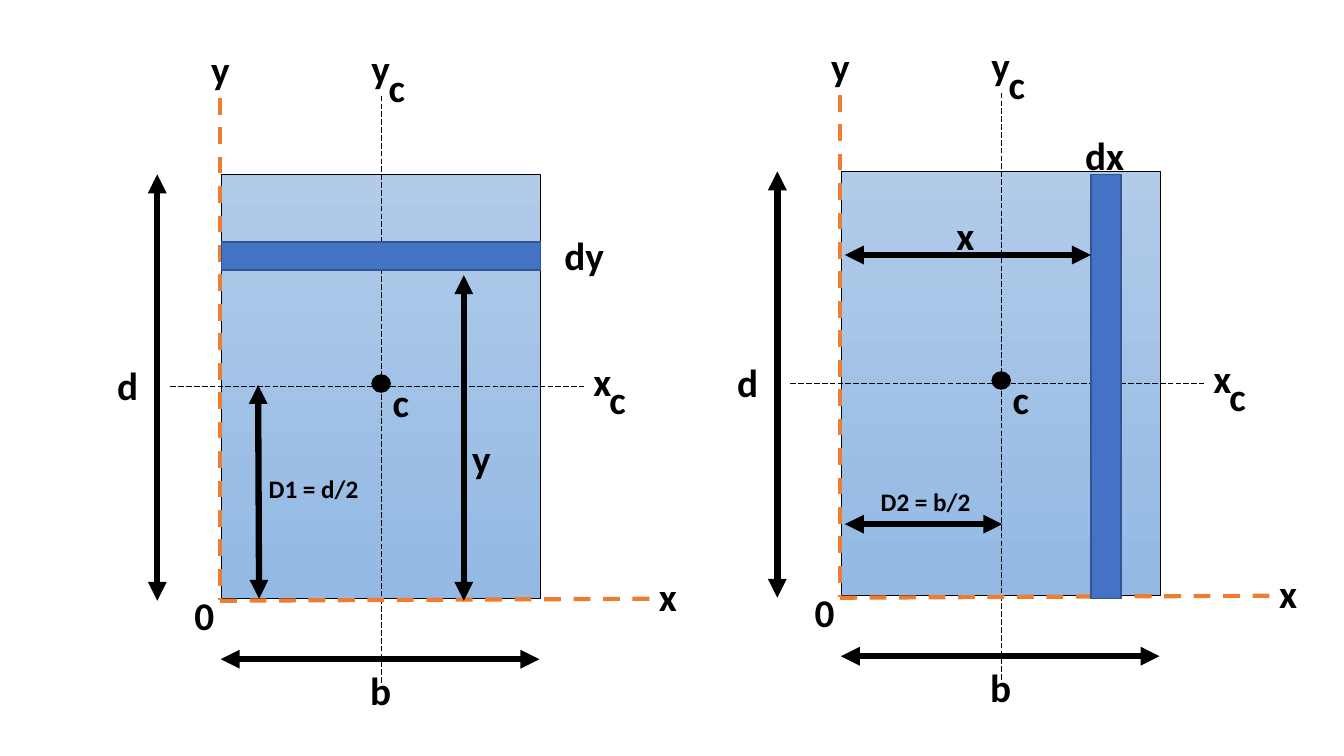
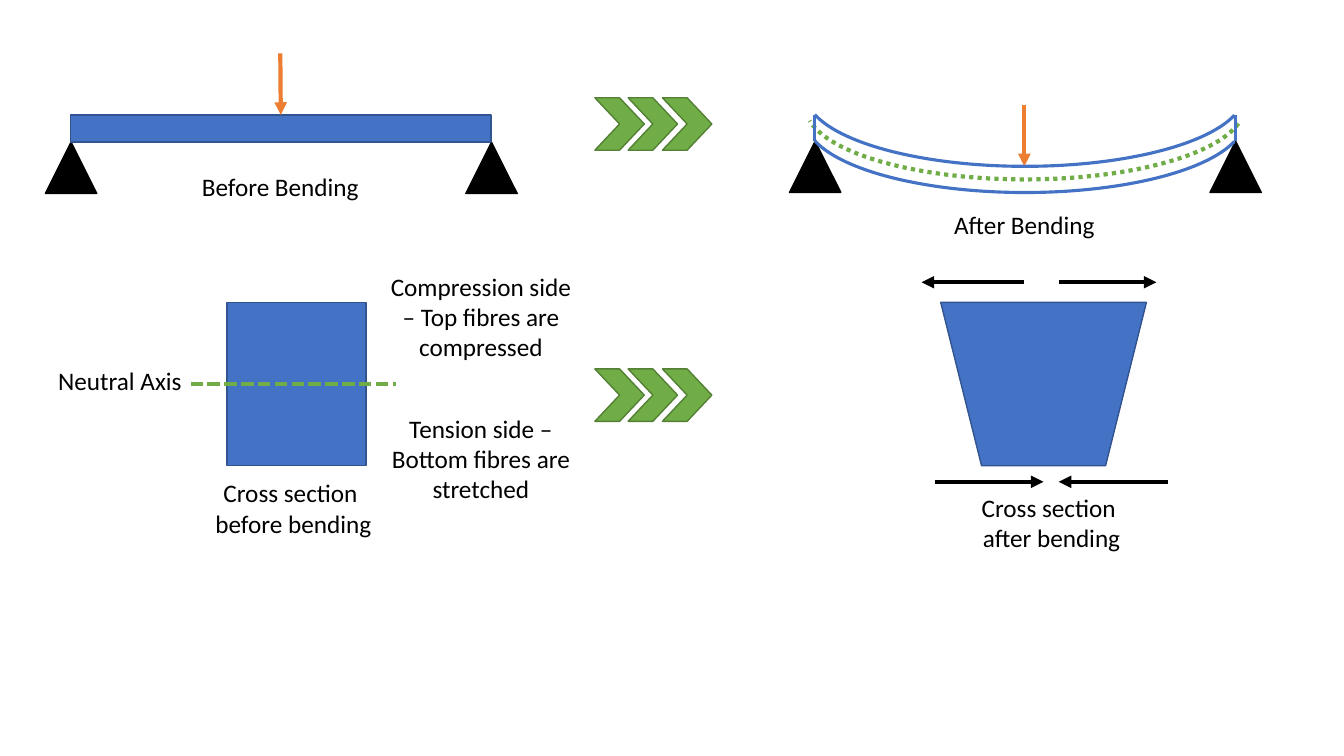
from pptx import Presentation
from pptx.dml.color import RGBColor
from pptx.enum.dml import MSO_LINE
from pptx.enum.shapes import MSO_CONNECTOR, MSO_SHAPE
from pptx.enum.text import MSO_AUTO_SIZE, PP_ALIGN
from pptx.oxml.ns import qn
from pptx.util import Pt
from lxml.etree import SubElement

PX = 9144  # 100 px to the inch
FONT = "Calibri"
COLORS = {
    "black": "000000",
    "blue": "4472C4",
    "blue_edge": "325491",
    "orange": "ED7D31",
    "green": "70AD47",
    "green_edge": "538035",
    "area_top": "B1CBE9",
    "area_bottom": "93B9E4",
}


def rgb(name):
    return RGBColor.from_string(COLORS[name])


def add_figure(slide, kind, box, fill, edge, weight=1):
    figure = slide.shapes.add_shape(kind, *(v * PX for v in box))
    figure.shadow.inherit = False
    if fill:
        figure.fill.solid()
        figure.fill.fore_color.rgb = rgb(fill)
    else:
        figure.fill.background()
    figure.line.color.rgb = rgb(edge)
    figure.line.width = Pt(weight)
    return figure


def add_line(slide, start, end, color="black", weight=4.5, dash=None, arrows=()):
    """arrows holds "headEnd" and/or "tailEnd"."""
    line = slide.shapes.add_connector(
        MSO_CONNECTOR.STRAIGHT, *(v * PX for v in (*start, *end)))
    line.line.color.rgb = rgb(color)
    line.line.width = Pt(weight)
    if dash:
        line.line.dash_style = dash
    properties = line._element.spPr
    for arrow in arrows:
        SubElement(properties.find(qn("a:ln")), qn("a:" + arrow), type="triangle")
    SubElement(properties, qn("a:effectLst"))
    return line


def add_dimension(slide, start, end):
    add_line(slide, start, end, arrows=("headEnd", "tailEnd"))


def add_label(slide, text, left, top, width, height=40, size=18, bold=False):
    label = slide.shapes.add_textbox(*(v * PX for v in (left, top, width, height)))
    frame = label.text_frame
    frame.word_wrap = True
    frame.auto_size = MSO_AUTO_SIZE.SHAPE_TO_FIT_TEXT
    paragraph = frame.paragraphs[0]
    paragraph.text = text
    paragraph.alignment = PP_ALIGN.CENTER
    paragraph.font.name = FONT
    paragraph.font.size = Pt(size)
    paragraph.font.bold = bold
    paragraph.font.color.rgb = rgb("black")


def add_symbol(slide, text, left, top, width=103):
    add_label(slide, text, left, top, width, 57, 28, True)


# Slide 1: rectangle with its axes and strips
AREA_W, AREA_H = 316, 421


def area_panel(slide, left, top):
    def at(x, y):
        return left + x, top + y

    area = add_figure(slide, MSO_SHAPE.RECTANGLE, (left, top, AREA_W, AREA_H),
                      "blue", "black", 0.5)
    area.fill.gradient()
    area.fill.gradient_angle = 270
    for stop, color in zip(area.fill.gradient_stops, ("area_top", "area_bottom")):
        stop.color.rgb = rgb(color)

    # Centroid axes and reference axes
    mid_x, mid_y = AREA_W // 2, AREA_H // 2
    for start, end in (((mid_x, -78), (mid_x, 506)), ((-51, mid_y), (359, mid_y))):
        add_line(slide, at(*start), at(*end), "black", 0.5, MSO_LINE.LONG_DASH)
    for start, end in (((-2, -76), (-2, 422)), ((424, 421), (-6, 423))):
        add_line(slide, at(*start), at(*end), "orange", 3, MSO_LINE.DASH)
    add_figure(slide, MSO_SHAPE.OVAL, (*at(mid_x - 9, 199), 18, 17), "black", "black")

    # Overall depth and breadth
    add_dimension(slide, at(-64, 0), at(-64, 423))
    add_dimension(slide, at(-1, 481), at(315, 481))

    for text, x, y in (("x", 326, 177), ("y", 106, -134), ("d", -145, 181),
                       ("b", 106, 483), ("y", -53, -133), ("x", 391, 390)):
        add_symbol(slide, text, *at(x, y))
    for text, x, y in (("c", 158, 197), ("c", 154, -115),
                       ("c", 373, 194), ("0", -37, 409)):
        add_symbol(slide, text, *at(x, y), 39)


def horizontal_strip(slide, left, top):
    add_figure(slide, MSO_SHAPE.RECTANGLE, (left, top + 67, AREA_W, 28),
               "blue", "blue_edge")
    add_symbol(slide, "dy", left + 308, top + 52)
    add_dimension(slide, (left + 240, top + 100), (left + 240, top + 423))
    add_symbol(slide, "y", left + 206, top + 253)
    add_dimension(slide, (left + 37, top + AREA_H), (left + 36, top + 209))
    add_label(slide, "D1 = d/2", left + 6, top + 292, 170, bold=True)


def vertical_strip(slide, left, top):
    add_figure(slide, MSO_SHAPE.RECTANGLE, (left + 247, top + 3, 30, AREA_H),
               "blue", "blue_edge")
    add_symbol(slide, "dx", left + 209, top - 45)
    add_dimension(slide, (left + 3, top + 83), (left + 247, top + 83))
    add_symbol(slide, "x", left + 71, top + 35)
    add_dimension(slide, (left + 159, top + 350), (left + 3, top + 350))
    add_label(slide, "D2 = b/2", left - 2, top + 308, 170, bold=True)


def centroid_slide(prs):
    slide = prs.slides.add_slide(prs.slide_layouts[6])
    for strip, left, top in ((horizontal_strip, 220, 173), (vertical_strip, 835, 170)):
        area_panel(slide, left, top)
        strip(slide, left, top)


# Slide 2: beam and cross section before and after bending
SPAN, BEAM_H, SUPPORT, LABEL_W = 417, 27, 51, 204


def supports(slide, left, top):
    for x in (left, left + SPAN):
        add_figure(slide, MSO_SHAPE.ISOSCELES_TRIANGLE,
                   (x - SUPPORT // 2, top, SUPPORT, SUPPORT), "black", "black")


def load(slide, x, tip):
    return add_line(slide, (x, tip - 61), (x, tip), "orange", 3, arrows=("tailEnd",))


def straight_beam(slide, left, top):
    supports(slide, left, top + BEAM_H)
    beam = add_figure(slide, MSO_SHAPE.RECTANGLE, (left, top, SPAN, BEAM_H),
                      "blue", "blue_edge")
    load(slide, left + SPAN // 2, top).end_connect(beam, 0)
    add_label(slide, "Before Bending", left + 106, top + 51, LABEL_W)


def bent_beam(slide, left, top):
    supports(slide, left, top + 26)
    load(slide, left + SPAN // 2, top + 51)
    # Bottom edge, top edge and dotted neutral axis
    for offset, color, weight, angles in ((-67, "blue", 2.25, (111.53, 212.61)),
                                          (-93, "blue", 2.25, (111.53, 212.61)),
                                          (-80, "green", 3, (110.67, 213.78))):
        curve = add_figure(slide, MSO_SHAPE.ARC, (left - 9, top + offset, 435, 144),
                           None, color, weight)
        curve.adjustments[0], curve.adjustments[1] = angles
        curve.rotation = 180
        if color == "green":
            curve.line.dash_style = MSO_LINE.ROUND_DOT
    for x in (left, left + SPAN):
        add_line(slide, (x, top), (x, top + 26), "blue", 2.25)
    add_label(slide, "After Bending", left + 106, top + 89, LABEL_W)


def section_before(slide, left, top):
    add_figure(slide, MSO_SHAPE.RECTANGLE, (left, top, 138, 162), "blue", "blue_edge")
    add_line(slide, (left - 36, top + 81), (left + 168, top + 81),
             "green", 3, MSO_LINE.SQUARE_DOT)
    for text, x, y, height in (
            ("Neutral Axis", -208, 58, 40),
            ("Compression side – Top fibres are compressed", 150, -36, 101),
            ("Tension side – Bottom fibres are stretched", 150, 105, 101),
            ("Cross section \vbefore bending", -36, 169, 71)):
        add_label(slide, text, left + x, top + y, LABEL_W, height)


def section_after(slide, left, top):
    section = add_figure(slide, MSO_SHAPE.TRAPEZOID, (left, top, 204, 162),
                         "blue", "blue_edge")
    section.rotation = 180
    # Widening at the top, narrowing at the bottom
    for start, end, y in ((83, -19, -20), (117, 214, -20),
                          (-6, 102, 178), (225, 117, 178)):
        add_line(slide, (left + start, top + y), (left + end, top + y),
                 weight=3, arrows=("tailEnd",))
    add_label(slide, "Cross section \vafter bending", left + 8, top + 183, LABEL_W, 71)


def chevrons(slide, left, top):
    for i in range(3):
        add_figure(slide, MSO_SHAPE.CHEVRON, (left + 67 * i // 2, top, 49, 52),
                   "green", "green_edge")


def bending_slide(prs):
    slide = prs.slides.add_slide(prs.slide_layouts[6])
    straight_beam(slide, 70, 114)
    bent_beam(slide, 808, 114)
    section_before(slide, 225, 300)
    section_after(slide, 933, 300)
    for top in (97, 366):
        chevrons(slide, 590, top)


def main():
    prs = Presentation()
    prs.slide_width, prs.slide_height = 1333 * PX, 750 * PX
    centroid_slide(prs)
    bending_slide(prs)
    prs.save("out.pptx")


if __name__ == "__main__":
    main()
